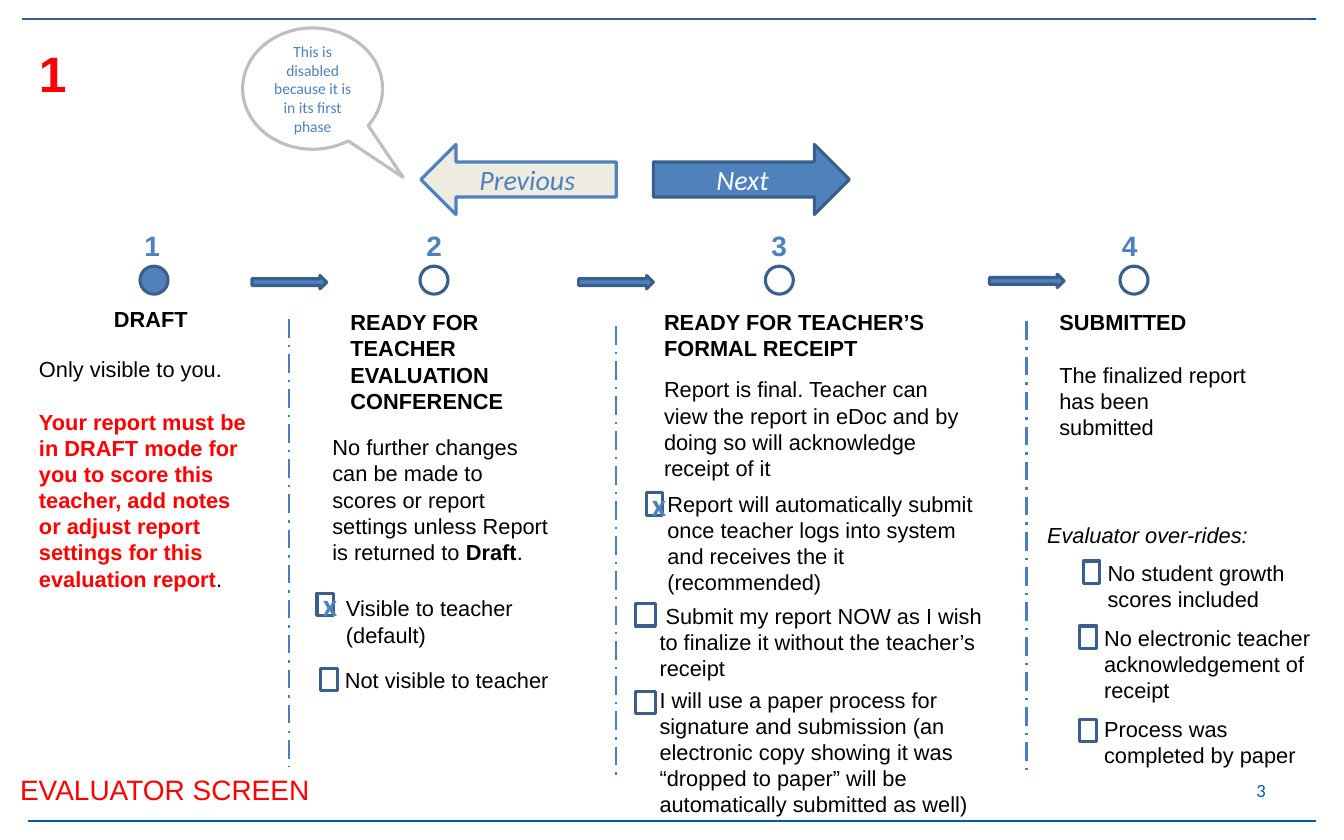
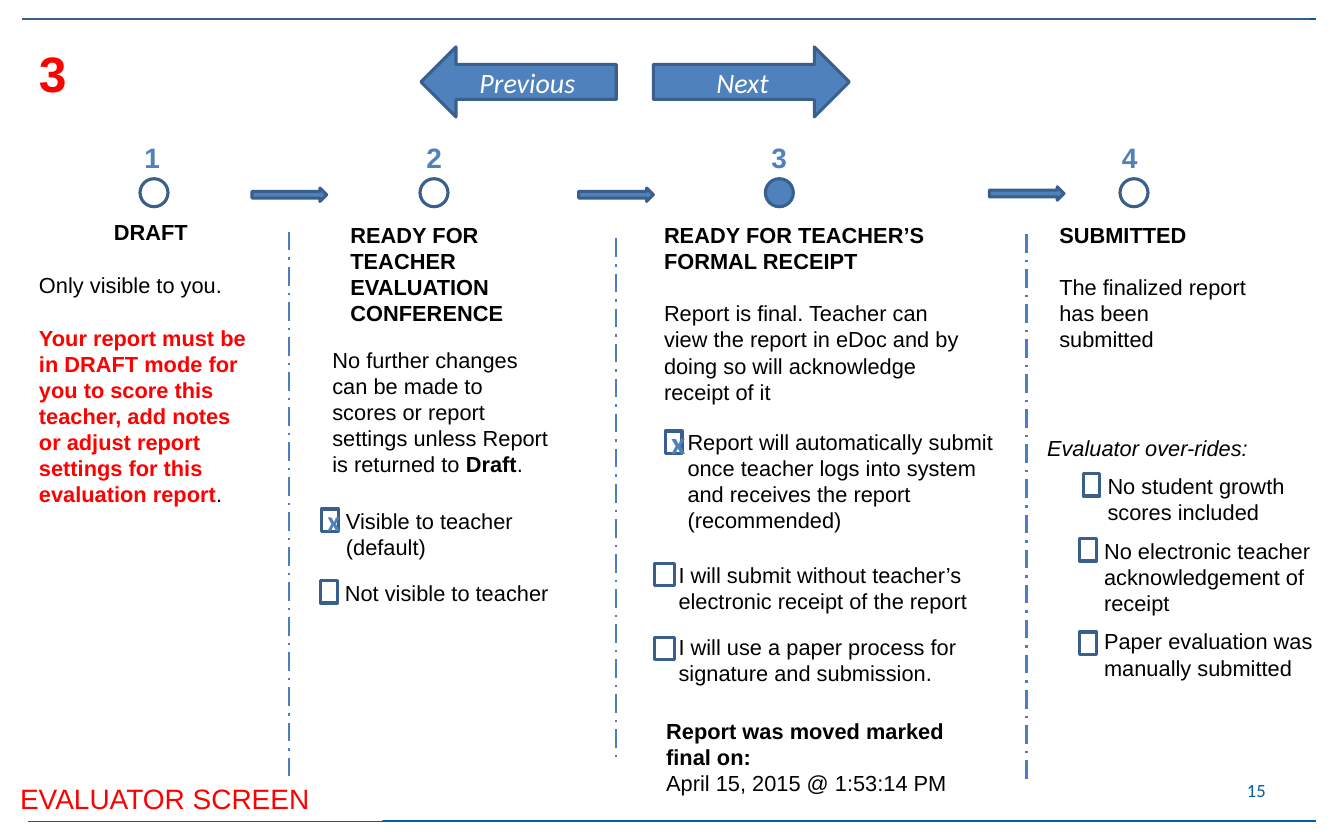
from dataclasses import dataclass

from lxml.etree import SubElement
from pptx import Presentation
from pptx.dml.color import RGBColor
from pptx.enum.dml import MSO_LINE
from pptx.enum.shapes import MSO_CONNECTOR, MSO_SHAPE
from pptx.enum.text import MSO_ANCHOR, MSO_AUTO_SIZE, PP_ALIGN
from pptx.oxml.ns import qn
from pptx.util import Pt

COLORS = {
    "blue": "4F81BD", "outline": "3A5F8C", "divider": "4B7EBC",
    "rule": "005DAA", "top_rule": "376092", "cream": "EEECE1",
    "gray": "BFBFBF", "white": "FFFFFF", "black": "000000", "red": "FF0000",
}
LINE_GAP = 16.8
COLUMN_TEXT = 14


@dataclass
class Option:
    """One check box with its label, measured from the top of the flow."""
    text: str
    left: float
    top: float
    width: float
    mark_size: int = 0
    box_shift: tuple = (-8.6, 4.3)
    box_width: float = 10.8
    wrap: bool = True


def color(name):
    return RGBColor.from_string(COLORS[name])


def add_run(paragraph, text, size=COLUMN_TEXT, ink="black", bold=False,
            italic=False, font="Arial"):
    run = paragraph.add_run()
    run.text = text
    run.font.name = font
    run.font.size = Pt(size)
    run.font.bold = bold
    run.font.italic = italic
    run.font.color.rgb = color(ink)


def add_text(slide, left, top, width, height, *paragraphs, gap=0, wrap=True):
    """Each paragraph is a list of (text, style) runs; gap separates them."""
    box = slide.shapes.add_textbox(Pt(left), Pt(top), Pt(width), Pt(height))
    frame = box.text_frame
    frame.word_wrap = wrap
    frame.auto_size = MSO_AUTO_SIZE.SHAPE_TO_FIT_TEXT
    for index, runs in enumerate(paragraphs):
        paragraph = frame.add_paragraph() if index else frame.paragraphs[0]
        paragraph.alignment = PP_ALIGN.LEFT
        if index:
            paragraph.space_before = Pt(gap)
        for text, style in runs:
            add_run(paragraph, text, **style)
    return box


def add_shape(slide, kind, left, top, width, height, fill="white",
              outline="outline", text="", **style):
    shape = slide.shapes.add_shape(kind, Pt(left), Pt(top), Pt(width), Pt(height))
    shape.shadow.inherit = False
    shape.fill.solid()
    shape.fill.fore_color.rgb = color(fill)
    shape.line.color.rgb = color(outline)
    shape.line.width = Pt(2)
    if text:
        shape.text_frame.vertical_anchor = MSO_ANCHOR.MIDDLE
        paragraph = shape.text_frame.paragraphs[0]
        paragraph.alignment = PP_ALIGN.CENTER
        add_run(paragraph, text, font="Calibri", **style)
    return shape


def add_line(slide, start, end, ink, dash=None):
    line = slide.shapes.add_connector(
        MSO_CONNECTOR.STRAIGHT, *(Pt(value) for value in (*start, *end)))
    line.line.color.rgb = color(ink)
    line.line.width = Pt(1.5)
    if dash:
        line.line.dash_style = dash
    SubElement(line._element.spPr, qn("a:effectLst"))


def draw_rules(slide):
    for left, top, ink in ((18, 12.2, "rule"), (18, 527.8, "rule"),
                           (14.4, 12.2, "top_rule")):
        add_line(slide, (left, top), (left + 828, top), ink)


def draw_labels(slide, phase, page, screen_top):
    # Phase number, screen name and page number
    add_text(slide, 18, 23.8, 33, 46, [(phase, {"size": 32, "ink": "red", "bold": True})])
    screen = add_text(slide, 5.8, screen_top, 240, 28.8,
                      [("EVALUATOR SCREEN", {"size": 18, "ink": "red"})])
    screen.fill.solid()
    screen.fill.fore_color.rgb = color("white")
    number = add_text(slide, 619.2, 493.2, 201.6, 28.8,
                      [(page, {"size": 12, "ink": "rule", "font": "Calibri"})])
    number.text_frame.auto_size = MSO_AUTO_SIZE.NONE
    number.text_frame.vertical_anchor = MSO_ANCHOR.MIDDLE
    number.text_frame.paragraphs[0].alignment = PP_ALIGN.RIGHT


def draw_navigation(slide, top, previous_enabled):
    fill, outline, ink = (("blue", "outline", "white") if previous_enabled
                          else ("cream", "blue", "blue"))
    add_shape(slide, MSO_SHAPE.LEFT_ARROW, 270.6, top, 125.6, 45, fill, outline,
              "Previous", size=18, ink=ink, italic=True)
    add_shape(slide, MSO_SHAPE.RIGHT_ARROW, 420, top, 126, 45, "blue", "outline",
              "Next", size=18, ink="white", italic=True)


def draw_callout(slide, left, top):
    callout = add_shape(slide, MSO_SHAPE.OVAL_CALLOUT, left, top, 90, 78,
                        "white", "gray",
                        "This is disabled because it is in its first phase",
                        size=10, ink="blue")
    callout.adjustments[0] = 0.647
    callout.adjustments[1] = 0.732


def draw_option(slide, flow_top, option):
    top = flow_top + option.top
    add_text(slide, option.left, top, option.width, 24.2,
             [(option.text, {})], wrap=option.wrap)
    shift_x, shift_y = option.box_shift
    add_shape(slide, MSO_SHAPE.RECTANGLE, option.left + shift_x, top + shift_y,
              option.box_width, 14.4, text="x" if option.mark_size else "",
              size=option.mark_size, ink="blue", bold=True)


def draw_steps(slide, top, active):
    # Numbers and circles
    steps = ((85.7, 90), (267.1, 270), (488.9, 492), (714.2, 720))
    for number, (number_left, circle_left) in enumerate(steps, 1):
        add_text(slide, number_left, top, 33, 28.8,
                 [(str(number), {"size": 18, "ink": "blue", "bold": True})])
        add_shape(slide, MSO_SHAPE.OVAL, circle_left, top + 27.8, 18, 18,
                  "blue" if number == active else "white")
    # Arrows between the steps
    for left, shift in ((162, 33.8), (372, 33.8), (636, 33)):
        add_shape(slide, MSO_SHAPE.RIGHT_ARROW, left, top + shift, 48, 8.6, "blue")


def draw_dividers(slide, top, bottoms):
    for left, shift, bottom in zip((186, 396, 660), (61.9, 66.2, 63.4), bottoms):
        add_line(slide, (left, top + shift), (left, bottom), "divider",
                 MSO_LINE.LONG_DASH_DOT)


def draw_columns(slide, top, draft_shift, receipt_gap):
    bold = {"bold": True}
    # Draft
    add_text(slide, 66.2, top + 49.7, 64, 24.2, [("DRAFT", bold)])
    add_text(slide, 18, top + draft_shift, 150, 177,
             [("Only visible to you.", {})],
             [("Your report must be in DRAFT mode for you to score this teacher, "
               "add notes or adjust report settings for this evaluation report",
               {"ink": "red", "bold": True}), (".", {})], gap=LINE_GAP)
    # Conference
    add_text(slide, 218.2, top + 51.8, 160, 75,
             [("READY FOR TEACHER EVALUATION CONFERENCE", bold)])
    add_text(slide, 206.6, top + 132.2, 155, 92,
             [("No further changes can be made to scores or report settings "
               "unless Report is returned to ", {}), ("Draft", bold), (".", {})])
    # Formal receipt
    add_text(slide, 419.8, top + 51.8, 208, 124,
             [("READY FOR TEACHER’S FORMAL RECEIPT", bold)],
             [("Report is final. Teacher can view the report in eDoc and by "
               "doing so will acknowledge receipt of it", {})], gap=receipt_gap)
    # Submitted
    add_text(slide, 673.9, top + 51.8, 136, 75, [("SUBMITTED", bold)],
             [("The finalized report has been submitted", {})], gap=LINE_GAP)
    add_text(slide, 666, top + 188.6, 148, 24.2,
             [("Evaluator over-rides:", {"italic": True})], wrap=False)


def draw_flow(slide, top, active, bottoms, draft_shift, receipt_gap, options):
    draw_steps(slide, top, active)
    draw_dividers(slide, top, bottoms)
    draw_columns(slide, top, draft_shift, receipt_gap)
    shared = [
        Option("Not visible to teacher", 214.6, 281.9, 146, wrap=False),
        Option("No student growth scores included", 704.9, 213.1, 137.5),
        Option("No electronic teacher acknowledgement of receipt", 702.7, 254.9, 149),
    ]
    for option in shared + options:
        draw_option(slide, top, option)


def visible_option(mark_size, box_shift):
    return Option("Visible to teacher (default)", 215.3, 235.8, 144.7,
                  mark_size, box_shift)


def paper_override(text):
    return Option(text, 702.7, 313.2, 149, box_shift=(-8.6, 6))


def draw_draft_slide(slide):
    draw_rules(slide)
    draw_navigation(slide, 92.9, previous_enabled=False)
    draw_callout(slide, 156, 18)
    draw_flow(slide, 143.3, 1, (498, 498, 498), 82.1, 9.6, [
        visible_option(20, (-11.5, 2.2)),
        Option("Report will automatically submit once teacher logs into system "
               "and receives the it (recommended)",
               421.9, 168.5, 217.4, 20, (-6.5, 5)),
        Option(" Submit my report NOW as I wish to finalize it without the "
               "teacher’s receipt", 416.9, 240.5, 236.9, box_width=13),
        Option("I will use a paper process for signature and submission (an "
               "electronic copy showing it was “dropped to paper” will be "
               "automatically submitted as well)",
               416.9, 294.5, 236.9, box_shift=(-8.6, 6.5), box_width=13),
        paper_override("Process was completed by paper"),
    ])
    draw_labels(slide, "1", "3", 493.2)


def draw_receipt_slide(slide):
    draw_rules(slide)
    draw_navigation(slide, 30.2, previous_enabled=True)
    draw_flow(slide, 87.1, 3, (504, 488.9, 504), 84.2, LINE_GAP, [
        visible_option(18, (-8.6, 4.3)),
        Option("Report will automatically submit once teacher logs into system "
               "and receives the report (recommended)",
               434.9, 185, 217.4, 20, (-7.2, 5)),
        Option("I will submit without teacher’s electronic receipt of the report",
               429.1, 270.7, 236.9, box_width=13),
        Option("I will use a paper process for signature and submission.",
               429.1, 316.8, 236.9, box_shift=(-8.6, 6), box_width=13),
        paper_override("Paper evaluation was manually submitted"),
    ])
    # Date of the final report
    add_text(slide, 421.2, 457.9, 221, 58.3,
             [("Report was moved marked final on:", {"bold": True})],
             [("April 15, 2015 @ 1:53:14 PM", {})])
    draw_labels(slide, "3", "15", 499)


def main():
    presentation = Presentation()
    presentation.slide_width = Pt(864)
    presentation.slide_height = Pt(540)
    for draw_slide in (draw_draft_slide, draw_receipt_slide):
        draw_slide(presentation.slides.add_slide(presentation.slide_layouts[6]))
    presentation.save("out.pptx")


if __name__ == "__main__":
    main()
